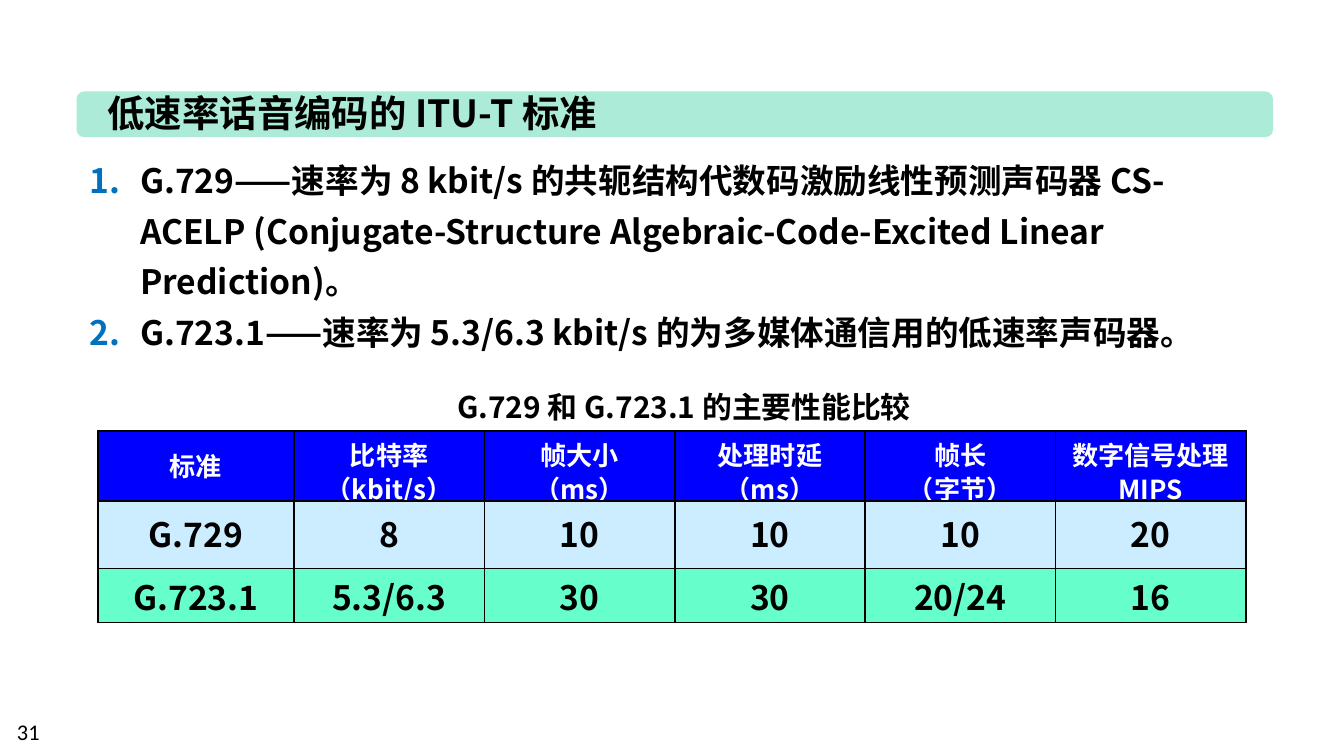
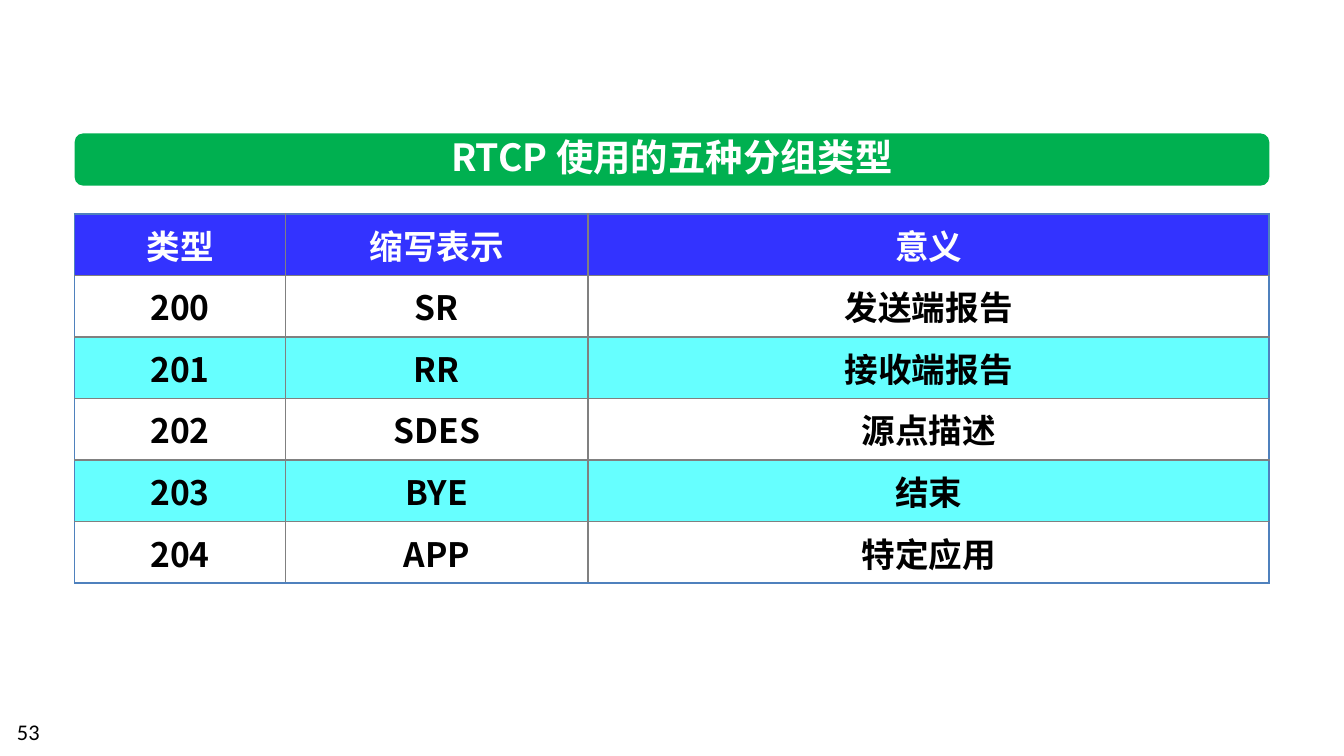
from lxml.etree import SubElement
from pptx import Presentation
from pptx.dml.color import RGBColor
from pptx.enum.shapes import MSO_SHAPE
from pptx.enum.text import MSO_ANCHOR, MSO_AUTO_SIZE, PP_ALIGN
from pptx.oxml import parse_xml
from pptx.oxml.ns import nsdecls, qn
from pptx.util import Pt

# Content
CODEC_TITLE = "低速率话音编码的 ITU-T 标准"
CODEC_POINTS = [
    "G.729——速率为 8 kbit/s 的共轭结构代数码激励线性预测声码器 CS-ACELP "
    "(Conjugate-Structure Algebraic-Code-Excited Linear Prediction)。",
    "G.723.1——速率为 5.3/6.3 kbit/s 的为多媒体通信用的低速率声码器。",
]
CODEC_CAPTION = "G.729 和 G.723.1 的主要性能比较"
CODEC_ROWS = [
    ["标准", "比特率\n（kbit/s）", "帧大小\n（ms）", "处理时延\n（ms）",
     "帧长\n（字节）", "数字信号处理\nMIPS"],
    ["G.729", "8", "10", "10", "10", "20"],
    ["G.723.1", "5.3/6.3", "30", "30", "20/24", "16"],
]
RTCP_TITLE = "RTCP 使用的五种分组类型"
RTCP_ROWS = [
    ["类型", "缩写表示", "意义"],
    ["200", "SR", "发送端报告"],
    ["201", "RR", "接收端报告"],
    ["202", "SDES", "源点描述"],
    ["203", "BYE", "结束"],
    ["204", "APP", "特定应用"],
]

# Shared style
COLORS = {
    "black": "000000", "white": "FFFFFF", "number": "0070C0",
    "codec_band": "ABEBD7", "codec_head": "0000FF",
    "g729": "CCECFF", "g723": "66FFCC",
    "rtcp_band": "00B050", "rtcp_head": "3333FF", "rtcp_stripe": "66FFFF",
    "grid": "808080", "frame": "4F81BD",
}
HEADING_FONT, PAGE_FONT = "Noto Sans CJK SC", "Calibri"
CENTER = PP_ALIGN.CENTER


def rgb(color):
    return RGBColor.from_string(COLORS[color])


def add_run(paragraph, text, size, color="black", bold=True, font=HEADING_FONT):
    run = paragraph.add_run()
    run.text = text
    run.font.size, run.font.bold, run.font.name = Pt(size), bold, font
    run.font.color.rgb = rgb(color)
    SubElement(run.font._element, qn("a:ea"), typeface=font)


def add_text(slide, box, lines, size, color="black", align=None, wrap=True,
             grow=True, **run_style):
    frame = slide.shapes.add_textbox(*map(Pt, box)).text_frame
    frame.word_wrap = wrap
    frame.auto_size = MSO_AUTO_SIZE.SHAPE_TO_FIT_TEXT if grow else MSO_AUTO_SIZE.NONE
    for i, line in enumerate(lines):
        paragraph = frame.add_paragraph() if i else frame.paragraphs[0]
        paragraph.alignment = align
        add_run(paragraph, line, size, color, **run_style)
    return frame


def add_title(slide, band_box, band_color, text_box, title, color, align=None):
    band = slide.shapes.add_shape(MSO_SHAPE.ROUNDED_RECTANGLE, *map(Pt, band_box))
    band.shadow.inherit = False
    band.fill.solid()
    band.fill.fore_color.rgb = rgb(band_color)
    band.line.fill.background()
    add_text(slide, text_box, [title], 20, color, align, wrap=False)


def add_page_number(slide, number):
    add_text(slide, (2, 381, 168, 21.5), [str(number)], 12, grow=False,
             bold=False, font=PAGE_FONT)


def number_points(frame):
    for paragraph in frame.paragraphs:
        paragraph.line_spacing = Pt(27)
        props = paragraph._p.get_or_add_pPr()
        props.set("marL", str(Pt(27)))
        props.set("indent", str(-Pt(27)))
        bullet_color = SubElement(props, qn("a:buClr"))
        SubElement(bullet_color, qn("a:srgbClr"), val=COLORS["number"])
        SubElement(props, qn("a:buAutoNum"), type="arabicPeriod")


def set_borders(cell, sides):
    """Draw 1 pt borders; sides are colours for left, right, top, bottom."""
    props = cell._tc.get_or_add_tcPr()
    for i, (side, color) in enumerate(zip("LRTB", sides)):
        props.insert(i, parse_xml(
            f'<a:ln{side} {nsdecls("a")} w="{Pt(1)}"><a:solidFill>'
            f'<a:srgbClr val="{COLORS[color]}"/></a:solidFill></a:ln{side}>'))


def add_grid(slide, corner, rows, widths, heights, fills, head_size,
             outer, inner, margins, spacing=None):
    shape = slide.shapes.add_table(len(rows), len(widths), *map(Pt, corner),
                                   Pt(sum(widths)), Pt(sum(heights)))
    table = shape.table
    for column, width in zip(table.columns, widths):
        column.width = Pt(width)
    for row, height in zip(table.rows, heights):
        row.height = Pt(height)
    last_row, last_column = len(rows) - 1, len(widths) - 1
    for r, row in enumerate(rows):
        for c, text in enumerate(row):
            cell = table.cell(r, c)
            cell.fill.solid()
            cell.fill.fore_color.rgb = rgb(fills[r])
            cell.vertical_anchor = MSO_ANCHOR.MIDDLE
            cell.margin_left = cell.margin_right = Pt(margins[0])
            cell.margin_top = cell.margin_bottom = Pt(margins[1])
            on_edge = (c == 0, c == last_column, r == 0, r == last_row)
            set_borders(cell, [outer if edge else inner for edge in on_edge])
            for i, line in enumerate(text.split("\n")):
                frame = cell.text_frame
                paragraph = frame.add_paragraph() if i else frame.paragraphs[0]
                paragraph.alignment = CENTER
                paragraph.line_spacing = spacing
                add_run(paragraph, line, 18 if r else head_size,
                        "black" if r else "white")
    return shape


def build_codec_slide(slide):
    add_title(slide, (41, 49, 641, 24.5), "codec_band", (50.5, 45, 291, 31.5),
              CODEC_TITLE, "black")
    number_points(add_text(slide, (41, 77, 641, 116.5), CODEC_POINTS, 18))
    add_text(slide, (212, 204.5, 309, 26.5), [CODEC_CAPTION], 16, align=CENTER)
    comparison = add_grid(
        slide, (52.5, 231), CODEC_ROWS, [105] + [102] * 5, [36, 36, 29],
        ["codec_head", "g729", "g723"], 14, "black", "black", (7.2, 3.6), 0.9)
    comparison.height = Pt(103)
    add_page_number(slide, 31)


def build_rtcp_slide(slide):
    add_title(slide, (40, 71.5, 640, 28), "rtcp_band", (229.5, 68.5, 261, 31.5),
              RTCP_TITLE, "white", CENTER)
    fills = ["rtcp_head"] + [("white", "rtcp_stripe")[i % 2]
                             for i in range(len(RTCP_ROWS) - 1)]
    add_grid(slide, (40, 114.5), RTCP_ROWS, [113, 162, 365],
             [33] * len(RTCP_ROWS), fills, 18, "frame", "grid", (5, 0))
    add_page_number(slide, 53)


def main():
    deck = Presentation()
    deck.slide_width, deck.slide_height = Pt(720), Pt(405)
    for build in (build_codec_slide, build_rtcp_slide):
        build(deck.slides.add_slide(deck.slide_layouts[6]))
    deck.save("out.pptx")


if __name__ == "__main__":
    main()
